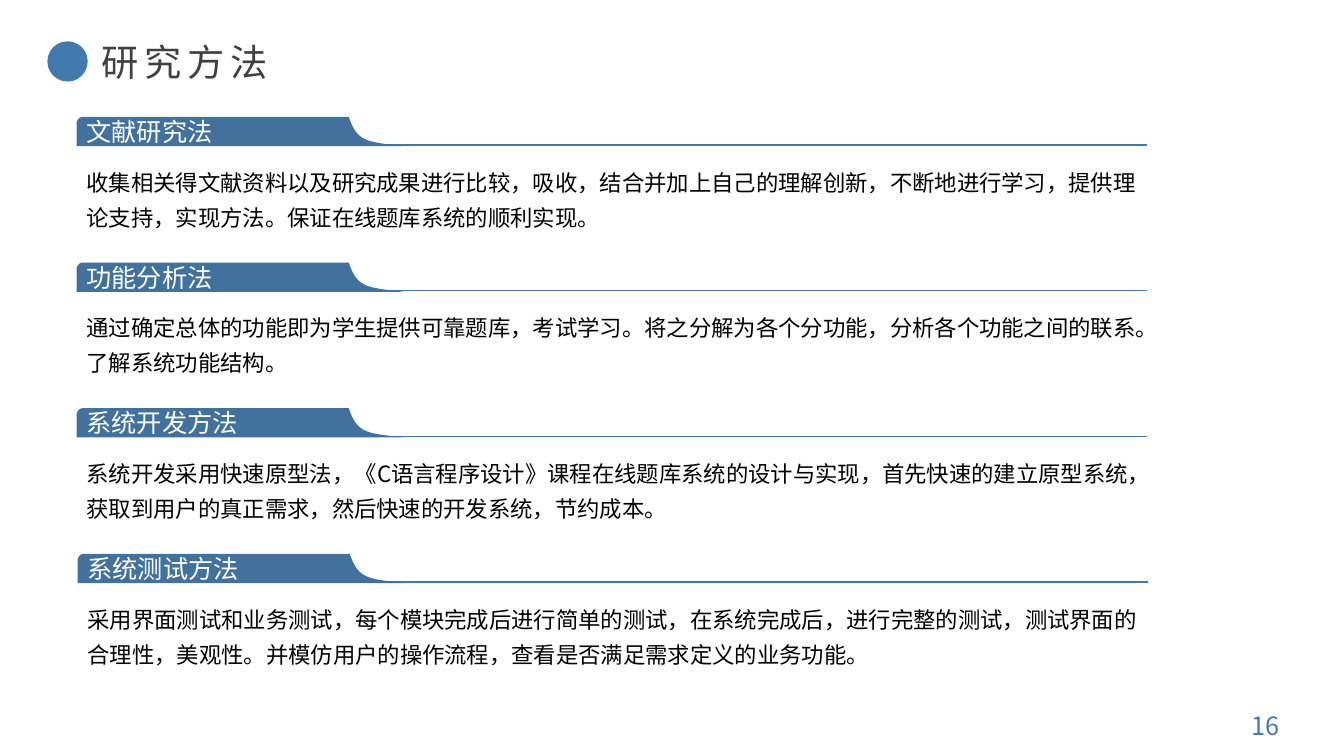
from pptx import Presentation
from pptx import util as u
from pptx.dml.color import RGBColor
from pptx.enum import shapes, text
from pptx.oxml.ns import qn
from lxml import etree

# Content
TITLE = "研究方法"
PAGE = "16"
METHODS = [
    ("文献研究法", "收集相关得文献资料以及研究成果进行比较，吸收，结合并加上自己的理解创新，"
     "不断地进行学习，提供理论支持，实现方法。保证在线题库系统的顺利实现。"),
    ("功能分析法", "通过确定总体的功能即为学生提供可靠题库，考试学习。将之分解为各个分功能，"
     "分析各个功能之间的联系。了解系统功能结构。"),
    ("系统开发方法", "系统开发采用快速原型法，《C语言程序设计》课程在线题库系统的设计与实现，"
     "首先快速的建立原型系统，获取到用户的真正需求，然后快速的开发系统，节约成本。"),
    ("系统测试方法", "采用界面测试和业务测试，每个模块完成后进行简单的测试，在系统完成后，"
     "进行完整的测试，测试界面的合理性，美观性。并模仿用户的操作流程，查看是否满足需求定义的业务功能。"),
]

# Style
FONT = "Noto Sans CJK SC"
HUES = {"blue": "427AAD", "tab": "41719C", "title": "404040",
        "white": "FFFFFF", "black": "000000"}

# Grid in inches
WIDE, HIGH = 13.33, 7.5
LEFT, TOP, STEP = 0.76, 1.16, 1.445
RULE_W, TAB_H, BODY_W, BODY_H = 10.62, 0.29, 10.74, 0.8
RULE_Y, BODY_Y = 0.28, 0.385

# Tab outline from its top left: a point, or three points of a curve
TAB = [
    [(2.7, 0)],
    [(2.73, 0.09), (2.77, 0.18), (2.86, 0.22)],
    [(2.95, 0.27), (3.22, 0.28), (3.24, TAB_H)],
    [(0, TAB_H)],
    [(0, 0.07)],
    [(0, 0.03), (0.03, 0), (0.06, 0)],
]


def color(name):
    return RGBColor.from_string(HUES[name])


def write(shape, words, size, hue, align=text.PP_ALIGN.LEFT,
          anchor=text.MSO_ANCHOR.MIDDLE, wrap=True):
    frame = shape.text_frame
    frame.word_wrap = wrap
    frame.auto_size = text.MSO_AUTO_SIZE.NONE
    frame.vertical_anchor = anchor
    para = frame.paragraphs[0]
    para.alignment = align
    run = para.add_run()
    run.text = words
    run.font.size = u.Pt(size)
    run.font.color.rgb = color(hue)
    run.font.name = FONT
    props = run.font._element
    etree.SubElement(props, qn("a:ea")).set("typeface", FONT)
    return para, props


def paint(shape, hue):
    shape.shadow.inherit = False
    shape.fill.solid()
    shape.fill.fore_color.rgb = color(hue)
    shape.line.fill.background()


def trace(parts, count=12):
    """Turn points and curves into a list of vertices."""
    spots = [(0.06, 0)]
    for part in parts:
        if len(part) == 1:
            spots += part
            continue
        a, (b, c, d) = spots[-1], part
        for i in range(1, count + 1):
            t = i / count
            s = 1 - t
            spots.append(tuple(
                s**3 * a[k] + 3 * s * s * t * b[k] + 3 * s * t * t * c[k] + t**3 * d[k]
                for k in (0, 1)))
    return spots


def box(slide, x, y, w, h):
    return slide.shapes.add_textbox(*map(u.Inches, (x, y, w, h)))


def add_head(slide):
    dot = slide.shapes.add_shape(shapes.MSO_SHAPE.OVAL,
                                 *map(u.Inches, (0.47, 0.41, 0.4, 0.4)))
    paint(dot, "blue")
    title = slide.shapes.title
    title.left, title.top, title.width, title.height = map(
        u.Inches, (0.91, 0.34, 1.91, 0.55))
    props = write(title, TITLE, 26.6, "title", wrap=False)[1]
    props.set("spc", "400")


def add_method(slide, x, y, name, words):
    # Rule
    rule = slide.shapes.add_connector(
        shapes.MSO_CONNECTOR.STRAIGHT,
        *map(u.Inches, (x, y + RULE_Y, x + RULE_W, y + RULE_Y)))
    rule.line.color.rgb = color("blue")
    rule.line.width = u.Pt(1)
    etree.SubElement(rule._element.spPr, qn("a:effectLst"))

    # Tab with its name
    spots = [(u.Inches(x + dx), u.Inches(y + dy)) for dx, dy in trace(TAB)]
    pen = slide.shapes.build_freeform(*spots[0])
    pen.add_line_segments(spots[1:], close=True)
    tab = pen.convert_to_shape()
    paint(tab, "tab")
    write(tab, name, 18, "white")

    # Description
    para = write(box(slide, x, y + BODY_Y, BODY_W, BODY_H), words, 16, "black",
                 anchor=text.MSO_ANCHOR.TOP)[0]
    para.line_spacing = u.Pt(25)


def main():
    deck = Presentation()
    deck.slide_width, deck.slide_height = u.Inches(WIDE), u.Inches(HIGH)
    slide = deck.slides.add_slide(deck.slide_layouts[5])
    add_head(slide)
    for row, (name, words) in enumerate(METHODS):
        shift = 0.01 if row == len(METHODS) - 1 else 0
        add_method(slide, LEFT + shift, TOP + row * STEP, name, words)
    write(box(slide, 12.18, 7.04, 0.75, 0.32), PAGE, 18, "blue",
          align=text.PP_ALIGN.CENTER)
    deck.save("out.pptx")


if __name__ == "__main__":
    main()
